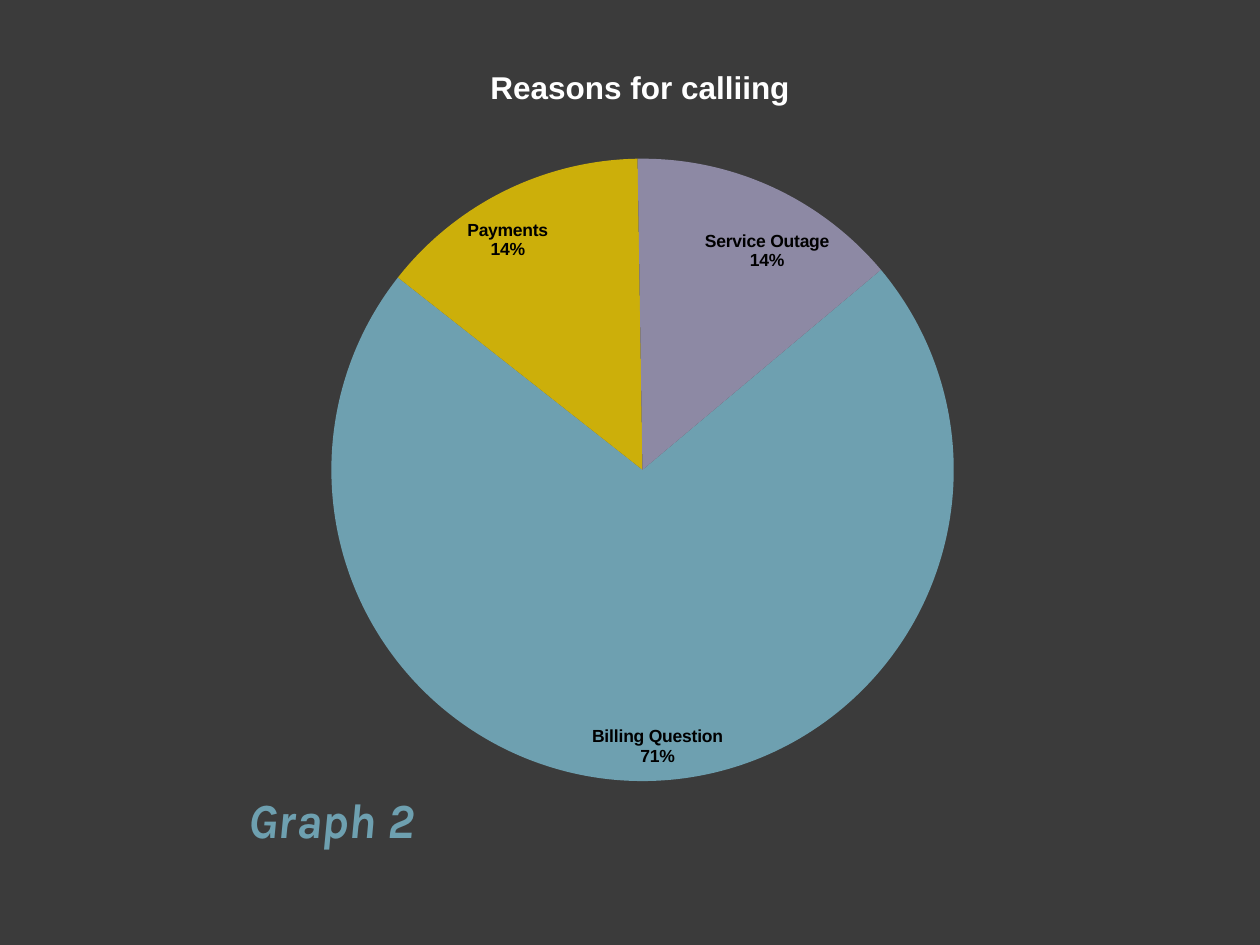
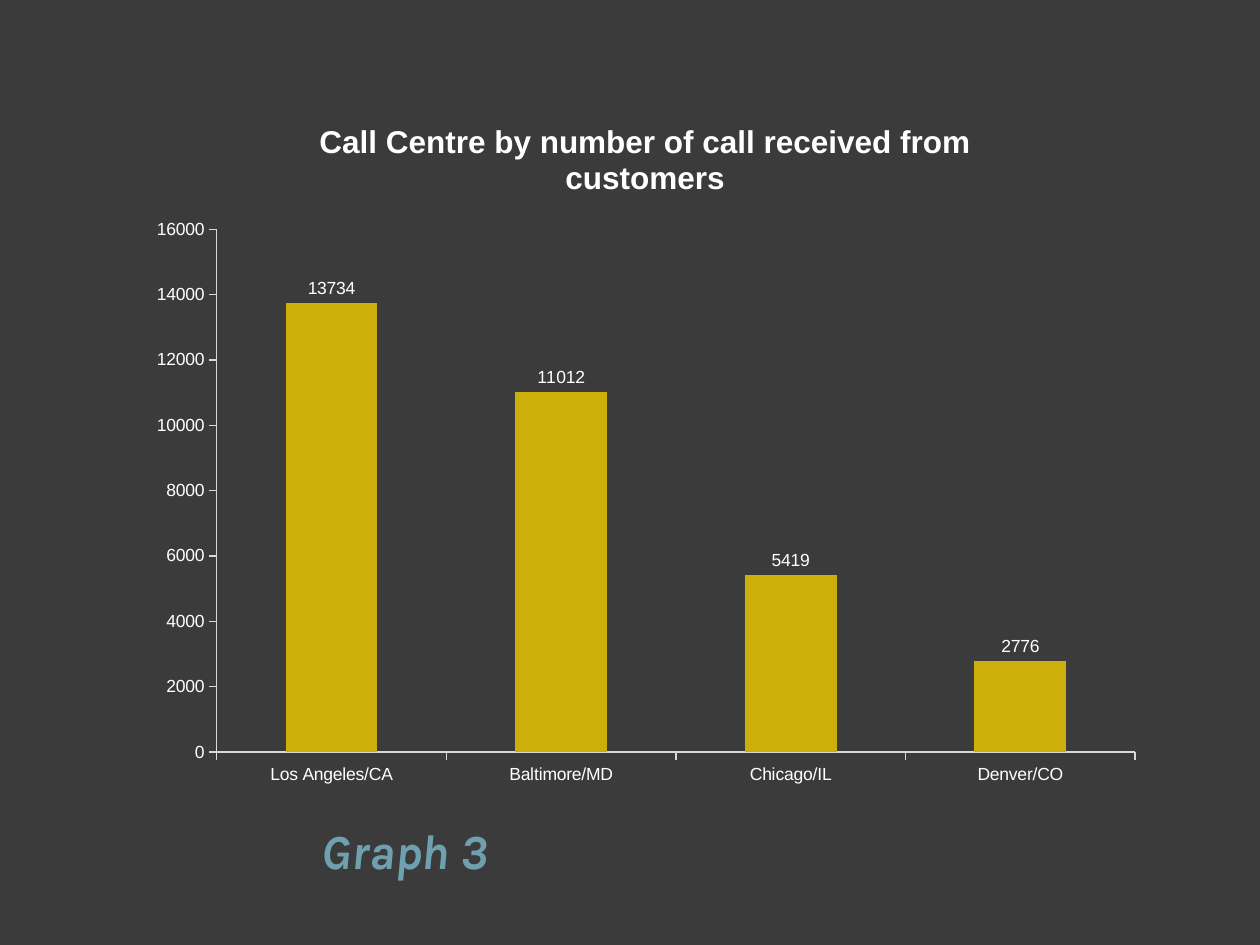
import copy

from lxml import etree
from pptx import Presentation
from pptx import util as u
from pptx.chart import data as chart_data
from pptx.dml import color
from pptx.enum import chart as charts, text
from pptx.oxml import ns

BACKGROUND = "3B3B3B"
WHITE = "FFFFFF"
BLACK = "000000"
BLUE = "6EA0B0"
GOLD = "CCAF0A"
PURPLE = "8D89A4"
AXIS_GREY = "D9D9D9"
CHART_FONT = "Arial"
CAPTION_FONT = "Karla"


def paint(target, hex_color):
    if hasattr(target, "solid"):
        target.solid()
        target = target.fore_color
    target.rgb = color.RGBColor.from_string(hex_color)


def style_font(font, name, size, hex_color, bold=False, italic=False):
    font.name = name
    font.size = u.Pt(size)
    font.bold = bold
    font.italic = italic
    paint(font.color, hex_color)


def add_dark_slide(presentation):
    slide = presentation.slides.add_slide(presentation.slide_layouts[6])
    paint(slide.background.fill, BACKGROUND)
    return slide


def add_caption(slide, caption, left, top):
    box = slide.shapes.add_textbox(
        u.Inches(left), u.Inches(top), u.Inches(6), u.Inches(0.62))
    frame = box.text_frame
    frame.word_wrap = True
    frame.vertical_anchor = text.MSO_ANCHOR.BOTTOM
    frame.margin_left = frame.margin_right = u.Inches(0.05)
    frame.margin_top = frame.margin_bottom = u.Inches(0.05)
    frame.text = caption
    style_font(frame.paragraphs[0].runs[0].font, CAPTION_FONT, 28, BLUE, True, True)


def make_layout(settings):
    layout = etree.Element(ns.qn("c:layout"))
    manual = etree.SubElement(layout, ns.qn("c:manualLayout"))
    for name, value in settings.items():
        etree.SubElement(manual, ns.qn("c:" + name)).set("val", str(value))
    return layout


def place_plot(chart, frame_box, plot_box):
    left, top, width, height = frame_box
    plot_left, plot_top, plot_width, plot_height = plot_box
    plot_area = chart._chartSpace.find(".//" + ns.qn("c:plotArea"))
    for old_layout in plot_area.findall(ns.qn("c:layout")):
        plot_area.remove(old_layout)
    plot_area.insert(0, make_layout({
        "layoutTarget": "inner", "xMode": "edge", "yMode": "edge",
        "x": (plot_left - left) / width, "y": (plot_top - top) / height,
        "w": plot_width / width, "h": plot_height / height,
    }))


def add_chart(slide, kind, title, values, frame_box, plot_box):
    data = chart_data.CategoryChartData()
    data.categories = list(values)
    data.add_series("Series 1", list(values.values()))
    chart = slide.shapes.add_chart(kind, *map(u.Inches, frame_box), data).chart
    style_font(chart.font, CHART_FONT, 10, WHITE)
    chart.has_legend = False
    chart.has_title = True
    chart.chart_title.include_in_layout = False
    title_frame = chart.chart_title.text_frame
    title_frame.text = title
    style_font(title_frame.paragraphs[0].runs[0].font, CHART_FONT, 18, WHITE, True)
    place_plot(chart, frame_box, plot_box)
    return chart


def add_labels(series, position, hex_color, bold=False):
    labels = series.data_labels
    labels.position = position
    labels.show_value = True
    style_font(labels.font, CHART_FONT, 10, hex_color, bold)
    return labels


def shift_labels(labels_xml, shifts):
    shared = [child for child in labels_xml
              if child.tag != ns.qn("c:showLeaderLines")]
    for index, (x, y) in enumerate(shifts):
        label = etree.Element(ns.qn("c:dLbl"))
        etree.SubElement(label, ns.qn("c:idx")).set("val", str(index))
        label.append(make_layout({"x": x, "y": y}))
        label.extend(copy.deepcopy(shared))
        labels_xml.insert(index, label)


def style_pie(chart, slice_colors, start_angle, label_shifts):
    series = chart.plots[0].series[0]
    for index, hex_color in enumerate(slice_colors):
        paint(series.points[index].format.fill, hex_color)
    labels = add_labels(series, charts.XL_LABEL_POSITION.INSIDE_END, BLACK, True)
    labels.show_category_name = True
    labels.number_format = '0"%"'
    labels.number_format_is_linked = False
    pie = chart._chartSpace.find(".//" + ns.qn("c:pieChart"))
    labels_xml = pie.find(ns.qn("c:ser")).find(ns.qn("c:dLbls"))
    separator = etree.Element(ns.qn("c:separator"))
    separator.text = "\n"
    labels_xml.find(ns.qn("c:showBubbleSize")).addnext(separator)
    for leader in labels_xml.findall(ns.qn("c:showLeaderLines")):
        leader.set("val", "0")
    shift_labels(labels_xml, label_shifts)
    angle = pie.find(ns.qn("c:firstSliceAng"))
    if angle is None:
        angle = etree.SubElement(pie, ns.qn("c:firstSliceAng"))
    angle.set("val", str(start_angle))


def style_columns(chart, hex_color):
    plot = chart.plots[0]
    plot.gap_width = 150
    plot.vary_by_categories = False
    paint(plot.series[0].format.fill, hex_color)
    add_labels(plot.series[0], charts.XL_LABEL_POSITION.OUTSIDE_END, WHITE)
    for axis in (chart.category_axis, chart.value_axis):
        axis.has_major_gridlines = False
        axis.major_tick_mark = charts.XL_TICK_MARK.OUTSIDE
        axis.format.line.width = u.Pt(0.75)
        paint(axis.format.line.fill, AXIS_GREY)
    chart.value_axis.minimum_scale = 0
    chart.value_axis.maximum_scale = 16000
    chart.value_axis.major_unit = 2000


def build_reasons_slide(presentation):
    slide = add_dark_slide(presentation)
    add_caption(slide, "Graph 2", 1.92, 6.16)
    reasons = {"Billing Question": 71, "Payments": 14, "Service Outage": 14}
    chart = add_chart(
        slide, charts.XL_CHART_TYPE.PIE, "Reasons for calliing", reasons,
        (1.08, 0.31, 8, 6), (2.63, 1.26, 4.94, 4.94))
    style_pie(chart, (BLUE, GOLD, PURPLE), 50,
              ((0.01, -0.01), (-0.04, 0.03), (0.06, 0.05)))


def build_call_centre_slide(presentation):
    slide = add_dark_slide(presentation)
    add_caption(slide, "Graph 3", 2.5, 6.41)
    calls = {"Los Angeles/CA": 13734, "Baltimore/MD": 11012,
             "Chicago/IL": 5419, "Denver/CO": 2776}
    chart = add_chart(
        slide, charts.XL_CHART_TYPE.COLUMN_CLUSTERED,
        "Call Centre by number of call received from customers", calls,
        (1.08, 0.75, 8.08, 5.58), (1.72, 1.82, 7.29, 4.15))
    style_columns(chart, GOLD)


def main():
    presentation = Presentation()
    presentation.slide_width = u.Inches(10)
    presentation.slide_height = u.Inches(7.5)
    build_reasons_slide(presentation)
    build_call_centre_slide(presentation)
    presentation.save("out.pptx")


if __name__ == "__main__":
    main()
